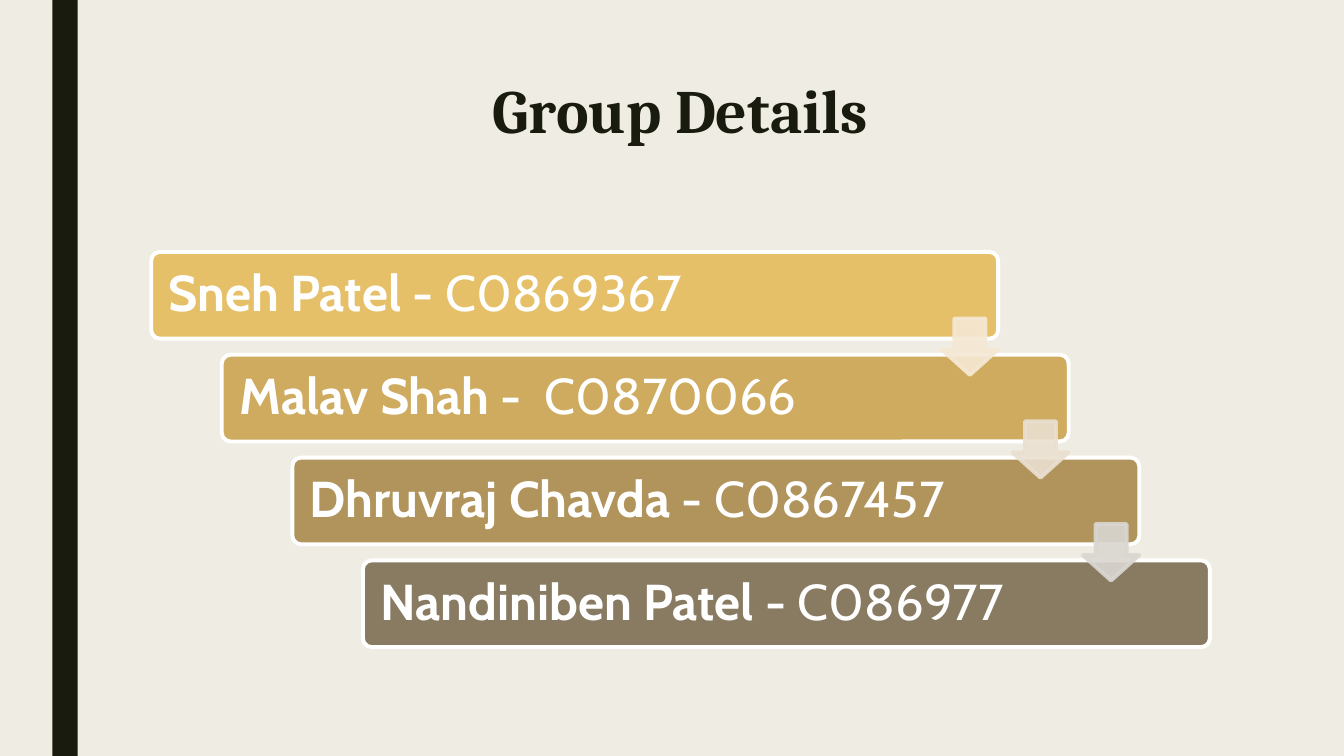
import pptx
import pptx.util
import pptx.dml.color
import pptx.enum.shapes
import pptx.enum.text
import pptx.oxml.ns
import lxml.etree

Inches = pptx.util.Inches
Pt = pptx.util.Pt
RGBColor = pptx.dml.color.RGBColor
MSO_SHAPE = pptx.enum.shapes.MSO_SHAPE
PP_ALIGN = pptx.enum.text.PP_ALIGN
MSO_ANCHOR = pptx.enum.text.MSO_ANCHOR

CREAM = RGBColor(0xEF, 0xED, 0xE3)
DARK = RGBColor(0x19, 0x1B, 0x0E)
WHITE = RGBColor(0xFF, 0xFF, 0xFF)
BAR_COLORS = [RGBColor(0xE6, 0xC0, 0x69), RGBColor(0xCE, 0xAB, 0x5F),
              RGBColor(0xB0, 0x94, 0x5B), RGBColor(0x89, 0x7B, 0x61)]
ARROW_COLORS = [RGBColor(0xF5, 0xE8, 0xD4), RGBColor(0xEA, 0xE0, 0xD1),
                RGBColor(0xDA, 0xD7, 0xD2)]
MEMBERS = [("Sneh Patel - ", "C0869367"), ("Malav Shah -  ", "C0870066"),
           ("Dhruvraj Chavda - ", "C0867457"), ("Nandiniben Patel - ", "C086977")]


def add_run(p, text, size=36, font="Cabin", color=WHITE, bold=False):
    r = p.add_run()
    r.text = text
    r.font.size = Pt(size)
    r.font.name = font
    r.font.color.rgb = color
    r.font.bold = bold


def add_shape(kind, x, y, w, h, fill, line=None, adjustments=()):
    sp = s.shapes.add_shape(kind, Inches(x), Inches(y), Inches(w), Inches(h))
    sp.shadow.inherit = False
    sp.fill.solid()
    sp.fill.fore_color.rgb = fill
    if line is None:
        sp.line.fill.background()
    else:
        sp.line.color.rgb = line
        sp.line.width = Pt(2.75)
    for i, value in enumerate(adjustments):
        sp.adjustments[i] = value
    return sp


prs = pptx.Presentation()
prs.slide_width = Inches(13.33)
prs.slide_height = Inches(7.5)
s = prs.slides.add_slide(prs.slide_layouts[6])
s.background.fill.solid()
s.background.fill.fore_color.rgb = CREAM

add_shape(MSO_SHAPE.RECTANGLE, 0.52, 0, 0.25, 7.5, DARK)

title = s.shapes.add_textbox(Inches(1.5), Inches(0.75), Inches(10.5), Inches(1.62))
tf = title.text_frame
tf.word_wrap = True
p = tf.paragraphs[0]
p.alignment = PP_ALIGN.CENTER
p.line_spacing = 0.89
add_run(p, "Group Details", size=44, font="Cambria", color=DARK, bold=True)

left, top, step_x, step_y = 1.5, 2.5, 0.7, 1.02

for i, (name, number) in enumerate(MEMBERS):
    bar = add_shape(MSO_SHAPE.ROUNDED_RECTANGLE, left + i * step_x, top + i * step_y,
                    8.4, 0.86, BAR_COLORS[i], WHITE, [0.1])
    tf = bar.text_frame
    tf.word_wrap = True
    tf.vertical_anchor = MSO_ANCHOR.MIDDLE
    tf.margin_left = tf.margin_right = Inches(0.15)
    tf.margin_top = tf.margin_bottom = Inches(0.15)
    p = tf.paragraphs[0]
    p.alignment = PP_ALIGN.LEFT
    p.line_spacing = 0.9
    add_run(p, name, bold=True)
    add_run(p, number)

for i, color in enumerate(ARROW_COLORS):
    arrow = add_shape(MSO_SHAPE.DOWN_ARROW, left + 7.84 + i * step_x, top + 0.66 + i * step_y,
                      0.56, 0.56, color, color, [0.55, 0.45])
    arrow.adjustments[0] = 0.55
    arrow.adjustments[1] = 0.45
    for clr in arrow.element.spPr.iter(pptx.oxml.ns.qn("a:srgbClr")):
        lxml.etree.SubElement(clr, pptx.oxml.ns.qn("a:alpha"), val="90000")

prs.save("out.pptx")
